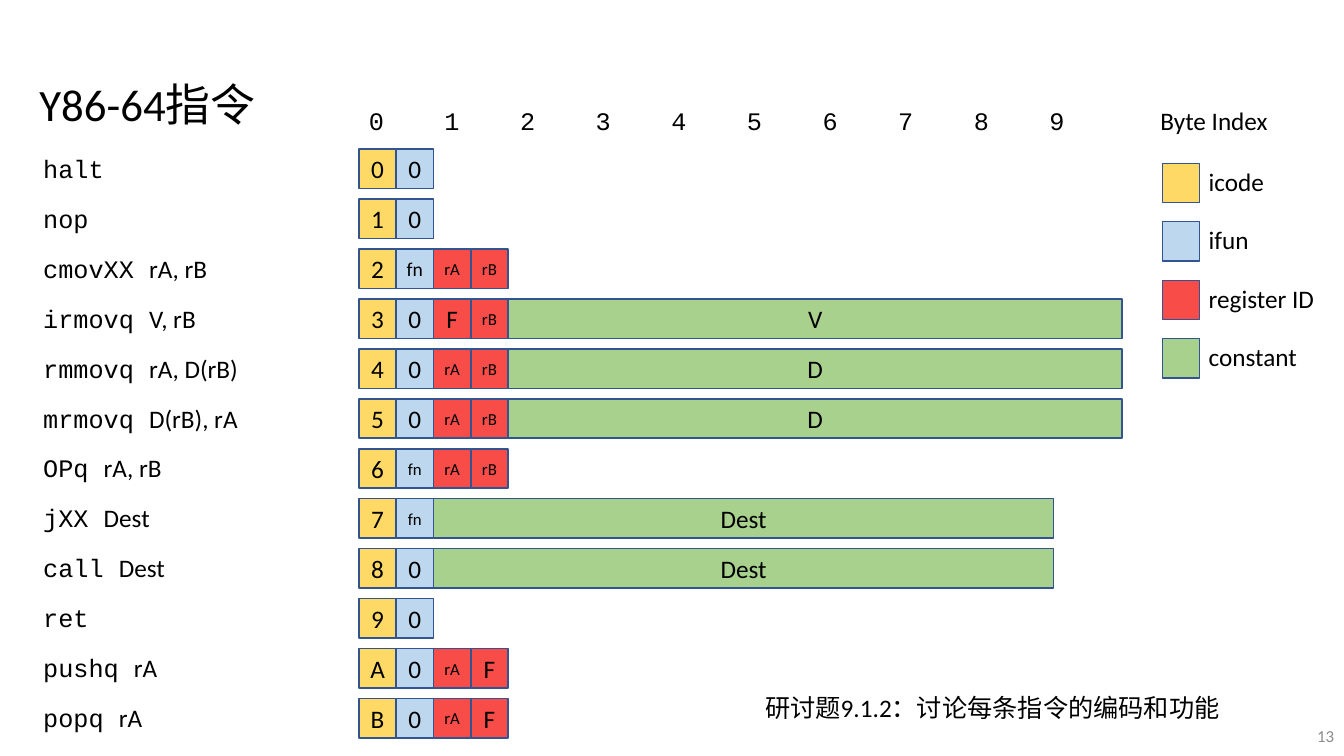
import pptx
import pptx.util
import pptx.dml.color
import pptx.enum.shapes
import pptx.enum.text
import pptx.oxml
import pptx.oxml.ns
from pptx.util import Inches

COLORS = {
    "icode": "FFD966",
    "ifun": "BDD7EE",
    "register": "F84C48",
    "constant": "A9D18E",
    "outline": "325491",
    "text": "000000",
    "number": "8C8C8C",
}
BODY, CODE, CHINESE = "Calibri", "Courier New", "Noto Sans CJK SC"
CELL_WIDTH, CELL_HEIGHT = 0.37, 0.39
CODE_LEFT, CODE_TOP = 3.56, 1.48
ROW_PITCH = 5.45 / 11
BYTE_PITCH = 0.75


def write_runs(shape, pieces, size=18, color="text", wrap=False):
    shape.text_frame.word_wrap = wrap
    paragraph = shape.text_frame.paragraphs[0]
    for text, font_name in pieces:
        run = paragraph.add_run()
        run.text = text
        run.font.size = pptx.util.Pt(size)
        run.font.color.rgb = pptx.dml.color.RGBColor.from_string(COLORS[color])
        run.font.name = font_name
        east_asian = pptx.oxml.parse_xml(
            f'<a:ea {pptx.oxml.ns.nsdecls("a")} typeface="{CHINESE}"/>')
        run.font._element.append(east_asian)
    return paragraph


def add_cell(left, top, width, kind, text="", size=18):
    cell = slide.shapes.add_shape(
        pptx.enum.shapes.MSO_SHAPE.RECTANGLE,
        Inches(left), Inches(top), Inches(width), Inches(CELL_HEIGHT))
    cell.shadow.inherit = False
    cell.fill.solid()
    cell.fill.fore_color.rgb = pptx.dml.color.RGBColor.from_string(COLORS[kind])
    cell.line.color.rgb = pptx.dml.color.RGBColor.from_string(COLORS["outline"])
    cell.line.width = pptx.util.Pt(1)
    if text:
        cell.text_frame.margin_left = cell.text_frame.margin_right = 0
        cell.text_frame.vertical_anchor = pptx.enum.text.MSO_ANCHOR.MIDDLE
        paragraph = write_runs(cell, [(text, BODY)], size)
        paragraph.alignment = pptx.enum.text.PP_ALIGN.CENTER


presentation = pptx.Presentation()
presentation.slide_width = Inches(13.33)
presentation.slide_height = Inches(7.5)
slide = presentation.slides.add_slide(presentation.slide_layouts[5])

title = slide.shapes.title
title.left, title.top = Inches(0.29), Inches(0.71)
title.width, title.height = Inches(4.96), Inches(0.64)
title.text_frame.vertical_anchor = pptx.enum.text.MSO_ANCHOR.TOP
title_paragraph = write_runs(title, [("Y86-64指令", BODY)], 32, wrap=True)
title_paragraph.alignment = pptx.enum.text.PP_ALIGN.LEFT

instructions = [
    ("halt", "", "0", "0", [], "", 0),
    ("nop", "", "1", "0", [], "", 0),
    ("cmovXX ", "rA, rB", "2", "fn", ["rA", "rB"], "", 0),
    ("irmovq ", "V, rB", "3", "0", ["F", "rB"], "V", 6.09),
    ("rmmovq ", "rA, D(rB)", "4", "0", ["rA", "rB"], "D", 6.09),
    ("mrmovq ", "D(rB), rA", "5", "0", ["rA", "rB"], "D", 6.09),
    ("OPq ", "rA, rB", "6", "fn", ["rA", "rB"], "", 0),
    ("jXX ", "Dest", "7", "fn", [], "Dest", 6.15),
    ("call ", "Dest", "8", "0", [], "Dest", 6.15),
    ("ret", "", "9", "0", [], "", 0),
    ("pushq ", "rA", "A", "0", ["rA", "F"], "", 0),
    ("popq ", "rA", "B", "0", ["rA", "F"], "", 0),
]
for row, (name, operands, icode, ifun, registers, constant, constant_width) in enumerate(instructions):
    top = CODE_TOP + row * ROW_PITCH
    label = slide.shapes.add_textbox(Inches(0.33), Inches(top - 0.01), Inches(2.15), Inches(0.4))
    write_runs(label, [(name, CODE)] + ([(operands, BODY)] if operands else []))
    fields = [("icode", icode), ("ifun", ifun)] + [("register", register) for register in registers]
    for column, (kind, text) in enumerate(fields):
        size = 18 if len(text) == 1 else 14 if name == "cmovXX " and text == "fn" else 12
        add_cell(CODE_LEFT + column * CELL_WIDTH, top, CELL_WIDTH, kind, text, size)
    if constant:
        add_cell(CODE_LEFT + len(fields) * CELL_WIDTH, top, constant_width, "constant", constant)

byte_numbers = slide.shapes.add_textbox(Inches(CODE_LEFT), Inches(1), Inches(7.17), Inches(0.4))
tab_stops = "".join(
    f'<a:tab pos="{Inches(BYTE_PITCH * index)}" algn="l"/>' for index in range(1, 10))
byte_numbers.text_frame.paragraphs[0]._p.get_or_add_pPr().append(pptx.oxml.parse_xml(
    f'<a:tabLst {pptx.oxml.ns.nsdecls("a")}>{tab_stops}</a:tabLst>'))
write_runs(byte_numbers, [("\t".join(str(index) for index in range(10)), CODE)], wrap=True)

byte_index = slide.shapes.add_textbox(Inches(11.41), Inches(1), Inches(1.28), Inches(0.4))
write_runs(byte_index, [("Byte Index", BODY)])

legend = [("icode", "icode"), ("ifun", "ifun"), ("register", "register ID"), ("constant", "constant")]
for index, (kind, text) in enumerate(legend):
    top = 1.62 + index * 0.58
    add_cell(11.53, top, CELL_WIDTH, kind)
    label = slide.shapes.add_textbox(Inches(11.89), Inches(top - 0.02), Inches(1.26), Inches(0.4))
    write_runs(label, [(text, BODY)])

question = slide.shapes.add_textbox(Inches(7.49), Inches(6.82), Inches(4.71), Inches(0.4))
write_runs(question, [("研讨题", CHINESE), ("9.1.2", BODY), ("：讨论每条指令的编码和功能", CHINESE)], wrap=True)

slide_number = slide.shapes.add_textbox(Inches(10.33), Inches(7.1), Inches(3), Inches(0.4))
slide_number.text_frame.vertical_anchor = pptx.enum.text.MSO_ANCHOR.MIDDLE
number_paragraph = write_runs(slide_number, [("13", BODY)], 12, "number", True)
number_paragraph.alignment = pptx.enum.text.PP_ALIGN.RIGHT

presentation.save("out.pptx")
